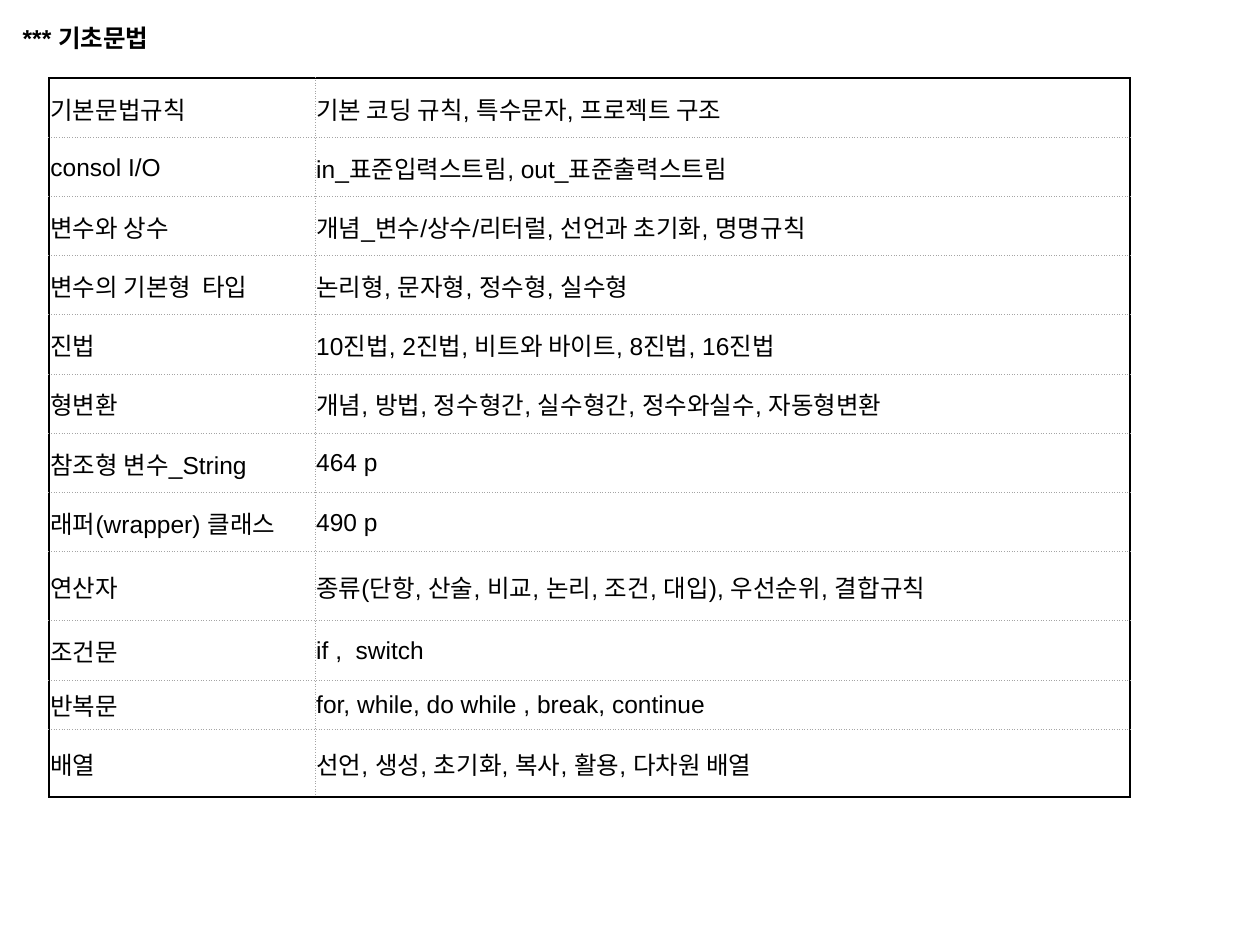
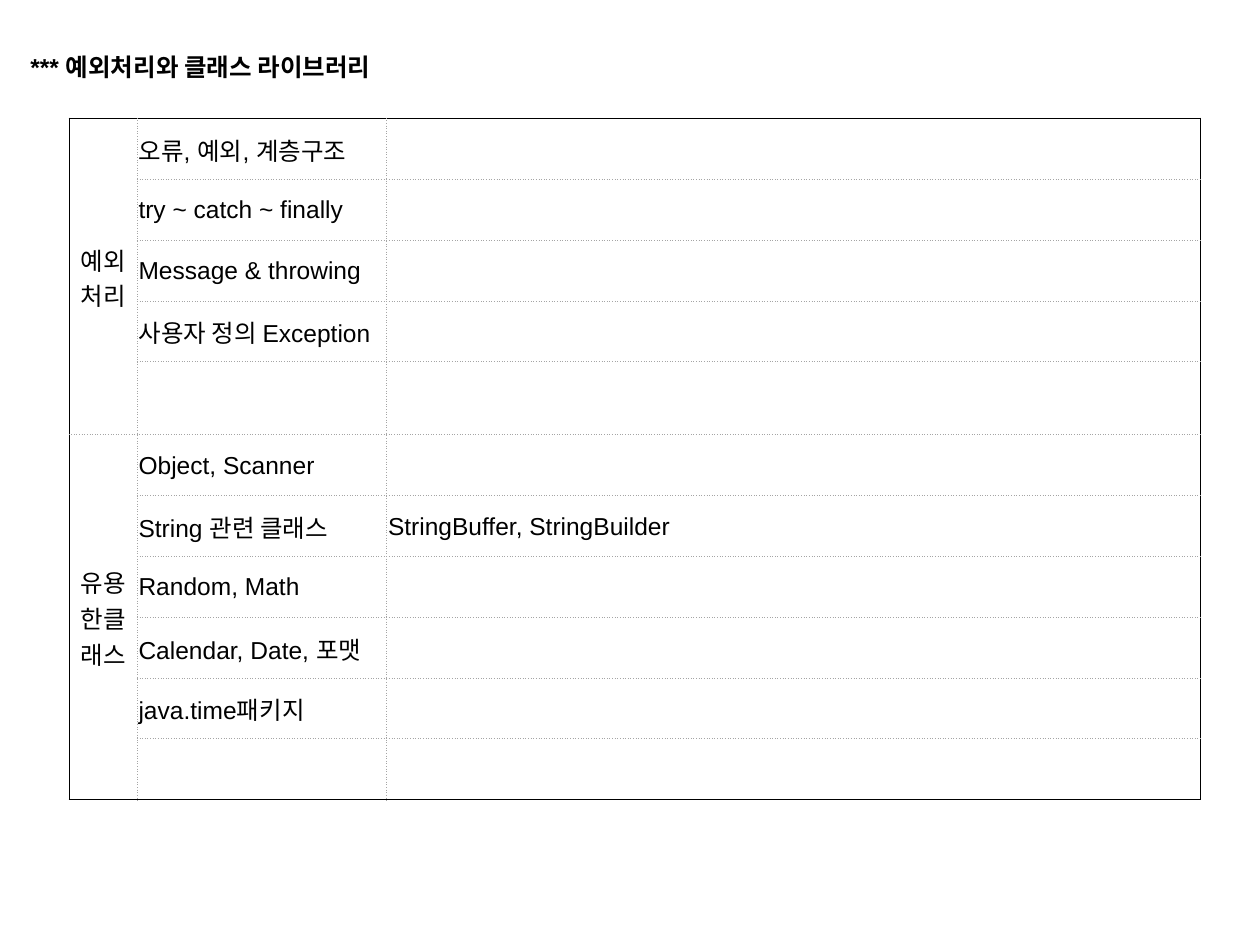
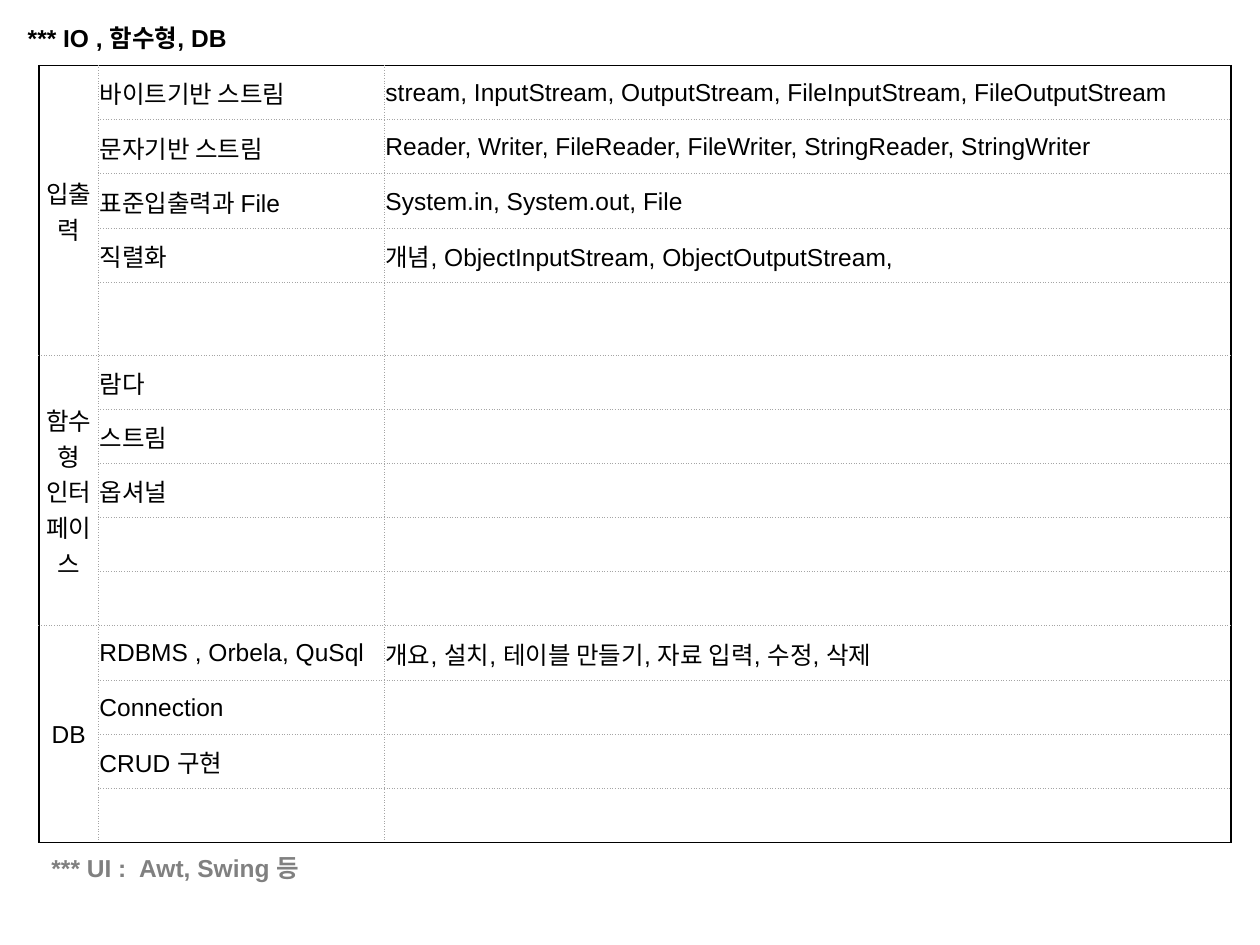
from lxml import etree
from pptx import Presentation
from pptx import util as u
from pptx.dml.color import RGBColor
from pptx.enum import text as t
from pptx.oxml import ns

HUES = {"ink": "000000", "grid": "A5A5A5", "note": "808080", "page": "FFFFFF"}
BOLD = {"name": "Arial", "size": u.Pt(14), "bold": True}
BODY = {"name": "Arial", "size": u.Pt(14), "bold": False}
INSET = {"margin_left": u.Inches(0.01), "margin_top": u.Inches(0.01),
         "margin_right": u.Inches(0.01), "margin_bottom": 0,
         "vertical_anchor": t.MSO_ANCHOR.MIDDLE}
FRAME = {"word_wrap": True, "auto_size": t.MSO_AUTO_SIZE.NONE,
         "vertical_anchor": t.MSO_ANCHOR.TOP}
HEAD = {"alignment": t.PP_ALIGN.LEFT, "line_spacing": u.Pt(17)}
PLAIN = "{2D5ABB26-0587-4C30-8999-92F81FD0307C}"  # table style without grid


def apply(item, form):
    for key, value in form.items():
        setattr(item, key, value)


class Deck:
    def __init__(self):
        self.prs = Presentation()
        self.prs.slide_width = u.Inches(10)
        self.prs.slide_height = u.Inches(7.5)
        self.slide = None

    def put(self, para, words, form, hue="ink"):
        run = para.add_run()
        run.text = words
        apply(run.font, form)
        run.font.color.rgb = RGBColor.from_string(HUES[hue])

    def page(self, title, left, top):
        """Start a slide whose title sits at the top of a large panel."""
        self.slide = self.prs.slides.add_slide(self.prs.slide_layouts[5])
        box = self.slide.shapes.title
        apply(box, {"left": u.Inches(left), "top": u.Inches(top),
                    "width": u.Inches(9.73), "height": u.Inches(6.59)})
        box.fill.solid()
        box.fill.fore_color.rgb = RGBColor.from_string(HUES["page"])
        apply(box.text_frame, FRAME)
        para = box.text_frame.paragraphs[0]
        apply(para, HEAD)
        self.put(para, title, BOLD)

    def note(self, words, left, top, width, height):
        box = self.slide.shapes.add_textbox(*map(u.Inches, (left, top, width, height)))
        box.text_frame.word_wrap = True
        self.put(box.text_frame.paragraphs[0], words, BOLD, "note")

    def edge(self, cell, side, outer):
        """Outer edges are solid ink, inner ones dotted grid lines."""
        props = cell._tc.get_or_add_tcPr()
        line = etree.SubElement(props, ns.qn("a:ln" + side),
                                w=str(u.Pt(1 if outer else 0.5)))
        fill = etree.SubElement(line, ns.qn("a:solidFill"))
        etree.SubElement(fill, ns.qn("a:srgbClr"), val=HUES["ink" if outer else "grid"])
        etree.SubElement(line, ns.qn("a:prstDash"), val="solid" if outer else "sysDot")

    def table(self, left, top, cols, highs, rows, groups=()):
        """Groups are (label, row count) pairs that fill the first column."""
        count, wide = len(rows), len(cols)
        shape = self.slide.shapes.add_table(
            count, wide, *map(u.Inches, (left, top, sum(cols), sum(highs))))
        grid = shape.table
        apply(grid, {"first_row": False, "horz_banding": False})
        grid._tbl.tblPr.find(ns.qn("a:tableStyleId")).text = PLAIN
        for col, width in zip(grid.columns, cols):
            col.width = u.Inches(width)
        for row, high in zip(grid.rows, highs):
            row.height = u.Inches(high)

        # Merged labels
        start = 0
        for label, size in groups:
            cell = grid.cell(start, 0)
            cell.merge(grid.cell(start + size - 1, 0))
            cell._tc.get_or_add_tcPr().set("vert", "eaVert")
            para = cell.text_frame.paragraphs[0]
            para.alignment = t.PP_ALIGN.CENTER
            self.put(para, label, BODY)
            start += size

        # Words, then edges
        first = 1 if groups else 0
        for r, words in enumerate(rows):
            for c, word in enumerate(words, first):
                self.put(grid.cell(r, c).text_frame.paragraphs[0], word, BODY)
            for c in range(wide):
                cell = grid.cell(r, c)
                apply(cell, INSET)
                self.edge(cell, "L", c == 0)
                self.edge(cell, "R", c == wide - 1)
                if not cell.is_spanned:
                    last = r + (cell.span_height if cell.is_merge_origin else 1)
                    self.edge(cell, "T", r == 0)
                    self.edge(cell, "B", last == count)
                cell.fill.background()


def main():
    deck = Deck()

    # Basic grammar
    deck.page("*** 기초문법", 0.08, 0.13)
    deck.table(0.39, 0.62, [2.11, 6.47], [0.47] * 8 + [0.55, 0.47, 0.39, 0.54], [
        ("기본문법규칙", "기본 코딩 규칙, 특수문자, 프로젝트 구조"),
        ("consol I/O", "in_표준입력스트림, out_표준출력스트림"),
        ("변수와 상수", "개념_변수/상수/리터럴, 선언과 초기화, 명명규칙"),
        ("변수의 기본형  타입", "논리형, 문자형, 정수형, 실수형"),
        ("진법", "10진법, 2진법, 비트와 바이트, 8진법, 16진법"),
        ("형변환", "개념, 방법, 정수형간, 실수형간, 정수와실수, 자동형변환"),
        ("참조형 변수_String", "464 p"),
        ("래퍼(wrapper) 클래스", "490 p"),
        ("연산자", "종류(단항, 산술, 비교, 논리, 조건, 대입), 우선순위, 결합규칙"),
        ("조건문", "if ,  switch"),
        ("반복문", "for, while, do while , break, continue"),
        ("배열", "선언, 생성, 초기화, 복사, 활용, 다차원 배열"),
    ])

    # Exceptions and class library
    deck.page("*** 예외처리와 클래스 라이브러리", 0.14, 0.36)
    high = 5.31 / 11
    deck.table(0.55, 0.94, [0.54, 1.98, 6.46], [high] * 4 + [0.58] + [high] * 6, [
        ("오류, 예외, 계층구조",),
        ("try ~ catch ~ finally",),
        ("Message & throwing",),
        ("사용자 정의 Exception",),
        (),
        ("Object, Scanner",),
        ("String 관련 클래스", "StringBuffer, StringBuilder"),
        ("Random, Math",),
        ("Calendar, Date, 포맷",),
        ("java.time패키지",),
        (),
    ], [("예외처리", 5), ("유용한클래스", 6)])

    # Streams, functional style and database
    deck.page("*** IO , 함수형, DB", 0.12, 0.13)
    deck.table(0.31, 0.52, [0.47, 2.27, 6.72], [0.43] * 4 + [0.57] + [0.43] * 9, [
        ("바이트기반 스트림",
         "stream, InputStream, OutputStream, FileInputStream, FileOutputStream"),
        ("문자기반 스트림",
         "Reader, Writer, FileReader, FileWriter, StringReader, StringWriter"),
        ("표준입출력과 File", "System.in, System.out, File"),
        ("직렬화", "개념, ObjectInputStream, ObjectOutputStream,"),
        (),
        ("람다",),
        ("스트림",),
        ("옵셔널",),
        (),
        (),
        ("RDBMS , Orbela, QuSql", "개요, 설치, 테이블 만들기, 자료 입력, 수정, 삭제"),
        ("Connection",),
        ("CRUD 구현",),
        (),
    ], [("입출력", 5), ("함수형 인터페이스", 5), ("DB", 4)])
    deck.note("*** UI :  Awt, Swing 등", 0.31, 6.72, 9.45, 0.34)

    deck.prs.save("out.pptx")


if __name__ == "__main__":
    main()
